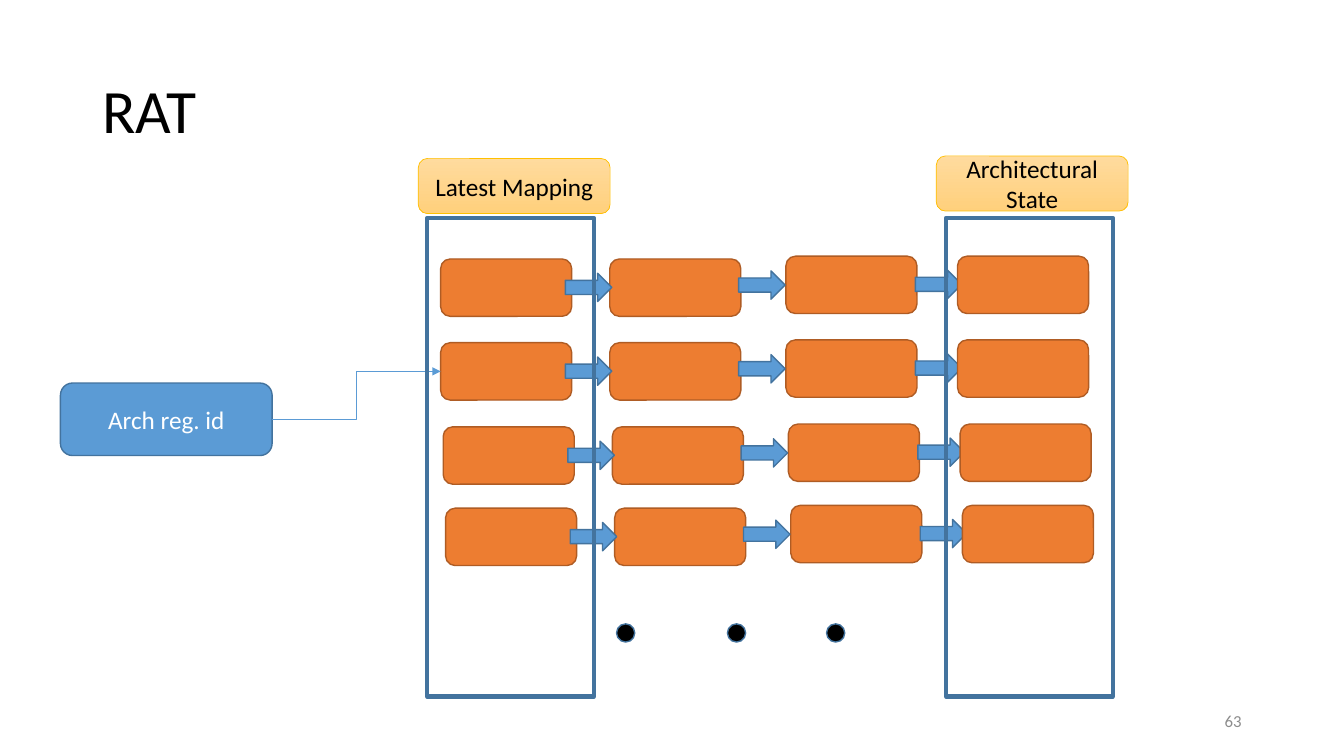
from dataclasses import dataclass

from lxml.etree import SubElement
from pptx import Presentation
from pptx.dml.color import RGBColor
from pptx.enum.shapes import MSO_CONNECTOR, MSO_SHAPE
from pptx.enum.text import MSO_ANCHOR, PP_ALIGN
from pptx.oxml.ns import qn
from pptx.util import Pt

TITLE = "RAT"
PAGE = "63"
SOURCE = "Arch reg. id"
# label, label (left, top), frame left
FRAMES = [
    ("Latest Mapping", (298.8, 113.2), 305.2),
    ("Architectural State", (668.8, 111.4), 675.8),
]
# row top, shift of the row to the right
ROWS = [(185, 0), (244.8, 0), (304.9, 1.8), (363, 3.5)]
# column left, shift of the column down
COLUMNS = [(314.8, 0), (435.6, 0), (561.4, -2), (684, -2)]
# arrow left, offset below the row top
ARROWS = [(403.8, 10.2), (527.6, 8.5), (653.8, 8)]
DOTS = [440.4, 519.6, 590.4]

CELL = (93.6, 41)
ARROW = (33.2, 20.2)
LABEL = (137, 39.4)
FRAME_TOP, FRAME = 155.6, (119, 342)
DOT_TOP, DOT = 445.6, (13, 13)
SOURCE_BOX = (43.2, 273.6, 151.2, 51.8)


@dataclass(frozen=True)
class Theme:
    font: str = "Calibri"
    black: str = "000000"
    white: str = "FFFFFF"
    grey: str = "8C8C8C"
    blue: str = "5B9BD5"
    blue_edge: str = "43739E"
    orange: str = "ED7D31"
    orange_edge: str = "AF5C24"
    gold: tuple = ("FFDB9E", "FFD07C")
    gold_edge: str = "FFC000"
    title_size: int = 44
    label_size: int = 18
    page_size: int = 12


THEME = Theme()


def write(sp, text, size, color, align):
    tf = sp.text_frame
    tf.text = text
    tf.word_wrap = True
    tf.vertical_anchor = MSO_ANCHOR.MIDDLE
    p = tf.paragraphs[0]
    p.alignment = align
    font = p.runs[0].font
    font.name, font.size = THEME.font, Pt(size)
    font.color.rgb = RGBColor.from_string(color)


def add_shape(slide, kind, box, fill, edge, width=1):
    """Fill is a colour, a pair of gradient colours (top, bottom), or None."""
    sp = slide.shapes.add_shape(kind, *map(Pt, box))
    sp.shadow.inherit = False
    if fill is None:
        sp.fill.background()
    elif isinstance(fill, tuple):
        sp.fill.gradient()
        sp.fill.gradient_angle = 270
        for stop, color in zip(sp.fill.gradient_stops, fill):
            stop.color.rgb = RGBColor.from_string(color)
    else:
        sp.fill.solid()
        sp.fill.fore_color.rgb = RGBColor.from_string(fill)
    sp.line.color.rgb = RGBColor.from_string(edge)
    sp.line.width = Pt(width)
    return sp


def add_elbow_arrow(slide, start, end):
    """Join the right side of start to the left side of end."""
    line = slide.shapes.add_connector(MSO_CONNECTOR.ELBOW, 0, 0, 0, 0)
    line.begin_connect(start, 3)
    line.end_connect(end, 1)
    line.line.color.rgb = RGBColor.from_string(THEME.blue)
    line.line.width = Pt(0.5)
    SubElement(line.line._get_or_add_ln(), qn("a:tailEnd"), type="triangle")
    SubElement(line._element.spPr, qn("a:effectLst"))


def add_row(slide, top, shift):
    """Draw one row of cells and arrows; return its first cell."""
    cells = [
        add_shape(slide, MSO_SHAPE.ROUNDED_RECTANGLE,
                  (left + shift, top + drop, *CELL),
                  THEME.orange, THEME.orange_edge)
        for left, drop in COLUMNS[:-1]
    ]
    for left, drop in ARROWS:
        add_shape(slide, MSO_SHAPE.RIGHT_ARROW,
                  (left + shift, top + drop, *ARROW),
                  THEME.blue, THEME.blue_edge)
    left, drop = COLUMNS[-1]
    add_shape(slide, MSO_SHAPE.ROUNDED_RECTANGLE,
              (left + shift, top + drop, *CELL),
              THEME.orange, THEME.orange_edge)
    return cells[0]


def main():
    prs = Presentation()
    prs.slide_width, prs.slide_height = Pt(960), Pt(540)
    slide = prs.slides.add_slide(prs.slide_layouts[5])

    title = slide.shapes.title
    title.left, title.top, title.width, title.height = map(
        Pt, (66, 28.8, 828, 104.4))
    write(title, TITLE, THEME.title_size, THEME.black, PP_ALIGN.LEFT)
    title.text_frame.paragraphs[0].line_spacing = 0.9

    first_cells = [add_row(slide, top, shift) for top, shift in ROWS]

    for left in DOTS:
        add_shape(slide, MSO_SHAPE.OVAL, (left, DOT_TOP, *DOT),
                  THEME.black, THEME.blue_edge)

    source = add_shape(slide, MSO_SHAPE.ROUNDED_RECTANGLE, SOURCE_BOX,
                       THEME.blue, THEME.blue_edge)
    write(source, SOURCE, THEME.label_size, THEME.white, PP_ALIGN.CENTER)
    add_elbow_arrow(slide, source, first_cells[1])

    for text, corner, left in FRAMES:
        add_shape(slide, MSO_SHAPE.RECTANGLE, (left, FRAME_TOP, *FRAME),
                  None, THEME.blue_edge, 3)
        label = add_shape(slide, MSO_SHAPE.ROUNDED_RECTANGLE,
                          (*corner, *LABEL), THEME.gold, THEME.gold_edge, 0.5)
        write(label, text, THEME.label_size, THEME.black, PP_ALIGN.CENTER)

    page = slide.shapes.add_textbox(*map(Pt, (678, 500.5, 216, 28.8)))
    write(page, PAGE, THEME.page_size, THEME.grey, PP_ALIGN.RIGHT)

    prs.save("out.pptx")


if __name__ == "__main__":
    main()
